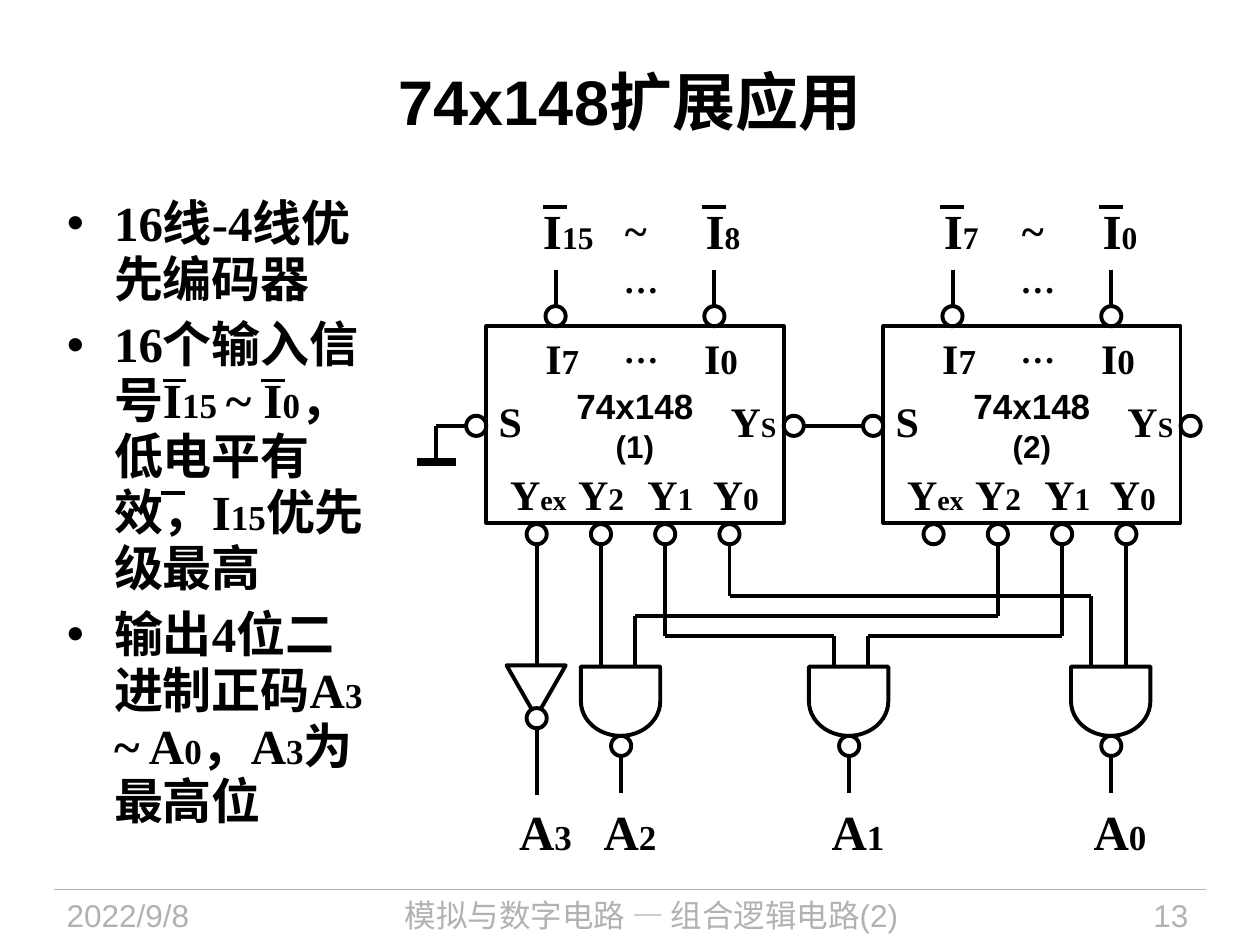
from lxml import etree
from pptx import Presentation
from pptx.dml.color import RGBColor
from pptx.enum.shapes import MSO_CONNECTOR, MSO_SHAPE
from pptx.enum.text import MSO_ANCHOR, MSO_AUTO_SIZE, PP_ALIGN
from pptx.oxml.ns import qn
from pptx.util import Inches, Pt

LEFT, CENTER, RIGHT = PP_ALIGN.LEFT, PP_ALIGN.CENTER, PP_ALIGN.RIGHT
MIDDLE = MSO_ANCHOR.MIDDLE
NO_FIT, GROW = MSO_AUTO_SIZE.NONE, MSO_AUTO_SIZE.SHAPE_TO_FIT_TEXT
RECT, OVAL = MSO_SHAPE.RECTANGLE, MSO_SHAPE.OVAL
TRIANGLE, DELAY = MSO_SHAPE.ISOSCELES_TRIANGLE, MSO_SHAPE.FLOWCHART_DELAY
STRAIGHT = MSO_CONNECTOR.STRAIGHT

COLORS = {"ink": "000000", "paper": "FFFFFF", "footer": "B2B2B2"}
SANS, SERIF = "Arial", "Times New Roman"

CHIP_W, CHIP_H = 2.36, 1.56
BUBBLE = 0.16
INPUT_PINS = (0.55, 1.81)
OUTPUT_PINS = [0.4 + 0.51 * i for i in range(4)]


def rgb(name):
    return RGBColor.from_string(COLORS[name])


def style(p, font, size=None, color="ink", bold=True, align=LEFT):
    p.alignment = align
    p.font.name = font
    p.font.bold = bold
    p.font.color.rgb = rgb(color)
    if size:
        p.font.size = Pt(size)


def add_runs(p, runs):
    for text, size in runs:
        r = p.add_run()
        r.text = text
        r.font.size = Pt(size)


def place(sp, *box):
    sp.left, sp.top, sp.width, sp.height = map(Inches, box)


def set_no_insets(tf):
    tf.margin_left = tf.margin_right = tf.margin_top = tf.margin_bottom = 0


def label(slide, box, *runs, align=LEFT, tight=False):
    """Bold serif label made of (text, size) runs; tight means no insets."""
    tf = slide.shapes.add_textbox(*map(Inches, box)).text_frame
    tf.word_wrap = False
    tf.auto_size = GROW
    if tight:
        set_no_insets(tf)
        tf.vertical_anchor = MIDDLE
    add_runs(tf.paragraphs[0], runs)
    style(tf.paragraphs[0], SERIF, align=align)


def outline(slide, kind, box, rotation=0, fill=None):
    sp = slide.shapes.add_shape(kind, *map(Inches, box))
    sp.rotation = rotation
    sp.shadow.inherit = False
    if fill:
        sp.fill.solid()
        sp.fill.fore_color.rgb = rgb(fill)
    else:
        sp.fill.background()
    sp.line.color.rgb = rgb("ink")
    sp.line.width = Pt(2.25)
    return sp


def bubble(slide, cx, cy, fill=None):
    outline(slide, OVAL, (cx - BUBBLE / 2, cy - BUBBLE / 2, BUBBLE, BUBBLE), fill=fill)


def wire(slide, *points, width=2.25, color="ink"):
    """Straight segments through the given points."""
    for start, end in zip(points, points[1:]):
        line = slide.shapes.add_connector(STRAIGHT, *map(Inches, start + end))
        line.line.color.rgb = rgb(color)
        line.line.width = Pt(width)
        etree.SubElement(line._element.spPr, qn("a:effectLst"))


def overbar(slide, x, y):
    wire(slide, (x, y), (x + 0.19, y))


def title(slide, *box):
    sp = slide.shapes.title
    place(sp, *box)
    tf = sp.text_frame
    tf.auto_size = NO_FIT
    tf.vertical_anchor = MIDDLE
    tf.text = "74x148扩展应用"
    style(tf.paragraphs[0], SANS, 36, align=CENTER)


def feature_list(slide, x, y, w, h):
    items = [
        [("16线-4线优先编码器", 28)],
        [("16个输入信号I", 28), ("15 ", 20), ("~ I", 28), ("0", 20),
         ("，低电平有效，I", 28), ("15", 20), ("优先级最高", 28)],
        [("输出4位二进制正码A", 28), ("3 ", 20), ("~ A", 28), ("0", 20),
         ("，A", 28), ("3", 20), ("为最高位", 28)],
    ]
    sp = slide.placeholders[1]
    place(sp, x, y, w, h)
    tf = sp.text_frame
    tf.auto_size = NO_FIT
    for i, runs in enumerate(items):
        p = tf.add_paragraph() if i else tf.paragraphs[0]
        p._p.get_or_add_pPr().set("hangingPunct", "0")
        add_runs(p, runs)
        p.line_spacing = 0.95
        p.space_before = Pt(0)
        p.space_after = Pt(5.6)
        style(p, SERIF)
    for dx, dy in ((0.86, 1.51), (1.64, 1.51), (0.85, 2.4)):
        overbar(slide, x + dx, y + dy)


def chip(slide, x, y, number, first, last):
    """Encoder with its pins, and the outer input names first ~ last."""
    tf = outline(slide, RECT, (x, y, CHIP_W, CHIP_H)).text_frame
    tf.word_wrap = False
    tf.vertical_anchor = MIDDLE
    set_no_insets(tf)
    for p, text, size in ((tf.paragraphs[0], "74x148", 20),
                          (tf.add_paragraph(), f"({number})", 18)):
        p.text = text
        style(p, SANS, size, align=CENTER)

    label(slide, (x, y + 0.5, 0.39, 0.5), ("S", 24))
    label(slide, (x + 1.84, y + 0.5, 0.57, 0.5), ("Y", 24), ("S", 16))
    for dx, w, sub, size in ((0.09, 0.65, "ex", 16), (0.63, 0.57, "2", 18),
                             (1.18, 0.57, "1", 18), (1.7, 0.57, "0", 18)):
        label(slide, (x + dx, y + 1.08, w, 0.5), ("Y", 24), (sub, size))

    for pin, inner, outer in zip(INPUT_PINS, "70", (first, last)):
        cx = x + pin
        label(slide, (cx - 0.18, y, 0.54, 0.5), ("I", 24), (inner, 20))
        w, name = (0.44, outer) if len(outer) > 1 else (0.34, outer + " ")
        label(slide, (cx + 0.1 - w / 2, y - 1, w, 0.47), ("I", 28), (name, 18),
              align=CENTER, tight=True)
        overbar(slide, cx - 0.1, y - 0.95)
        wire(slide, (cx, y - 0.45), (cx, y - BUBBLE))
        bubble(slide, cx, y - BUBBLE / 2)
    for dy in (-0.03, -0.59):
        label(slide, (x + 0.99, y + dy, 0.55, 0.43), ("…", 20))
    label(slide, (x + 1.1, y - 0.97, 0.17, 0.4), ("~", 24), align=CENTER, tight=True)

    for cx in (x - BUBBLE / 2, x + CHIP_W + BUBBLE / 2):
        bubble(slide, cx, y + 0.79)
    for pin in OUTPUT_PINS:
        bubble(slide, x + pin, y + CHIP_H + 0.09)


def output_name(slide, cx, y, digit):
    label(slide, (cx - 0.14, y, 0.42, 0.47), ("A", 28), (digit, 20), tight=True)


def nand_gate(slide, cx, y, digit):
    outline(slide, DELAY, (cx - 0.28, y - 0.03, 0.55, 0.63), rotation=90)
    bubble(slide, cx, y + 0.64)
    wire(slide, (cx, y + 0.72), (cx, y + 1.01))
    output_name(slide, cx, y + 1.08, digit)


def inverter(slide, cx, y, digit):
    outline(slide, TRIANGLE, (cx - 0.24, y, 0.47, 0.41), rotation=180, fill="paper")
    bubble(slide, cx, y + 0.42, fill="paper")
    output_name(slide, cx, y + 1.08, digit)


def circuit(slide, x1, x2, y):
    """Two cascaded encoders, at x1 and x2, above the output gates."""
    chip(slide, x1, y, 1, "15", "8")
    chip(slide, x2, y, 2, "7", "0")

    enable_y, pin_y, gate_y = y + 0.79, y + 1.73, y + 2.69
    ground_x = x1 - 0.4
    wire(slide, (x1 - BUBBLE, enable_y), (ground_x, enable_y), (ground_x, y + 1.08))
    wire(slide, (ground_x - 0.15, y + 1.08), (ground_x + 0.16, y + 1.08), width=4.5)
    wire(slide, (x1 + CHIP_W + BUBBLE, enable_y), (x2 - BUBBLE, enable_y))

    ex, a2, a1, a0 = [x1 + pin for pin in OUTPUT_PINS]
    _, b2, b1, b0 = [x2 + pin for pin in OUTPUT_PINS]
    wire(slide, (ex, pin_y), (ex, y + 3.72))
    for x in (a2, b0):
        wire(slide, (x, pin_y), (x, gate_y))
    for pin, gate_x, dy in ((a0, 8.66, 2.14), (b2, 5.04, 2.3),
                            (a1, 6.62, 2.46), (b1, 6.89, 2.46)):
        wire(slide, (pin, pin_y), (pin, y + dy), (gate_x, y + dy), (gate_x, gate_y))

    inverter(slide, ex, gate_y, "3")
    for cx, digit in ((4.93, "2"), (6.74, "1"), (8.82, "0")):
        nand_gate(slide, cx, gate_y, digit)


def footer(slide, x, y, w, h):
    wire(slide, (x, y), (x + w, y), width=0.75, color="footer")
    for left, width, text, align in (
            (0.43, 1.88, "2022/9/8", LEFT),
            (2.49, 5.36, "模拟与数字电路 — 组合逻辑电路(2)", CENTER),
            (8.2, 1.33, "13", RIGHT)):
        tf = slide.shapes.add_textbox(*map(Inches, (left, y, width, h))).text_frame
        tf.word_wrap = True
        tf.text = text
        style(tf.paragraphs[0], SANS, 18, "footer", bold=False, align=align)


def main():
    prs = Presentation()
    prs.slide_width, prs.slide_height = Inches(10), Inches(7.5)
    slide = prs.slides.add_slide(prs.slide_layouts[1])
    footer(slide, 0.43, 7.06, 9.14, 0.44)
    title(slide, 0.5, 0.17, 9, 1.25)
    feature_list(slide, 0.43, 1.51, 2.64, 5.55)
    circuit(slide, 3.86, 7.01, 2.59)
    prs.save("out.pptx")


if __name__ == "__main__":
    main()
